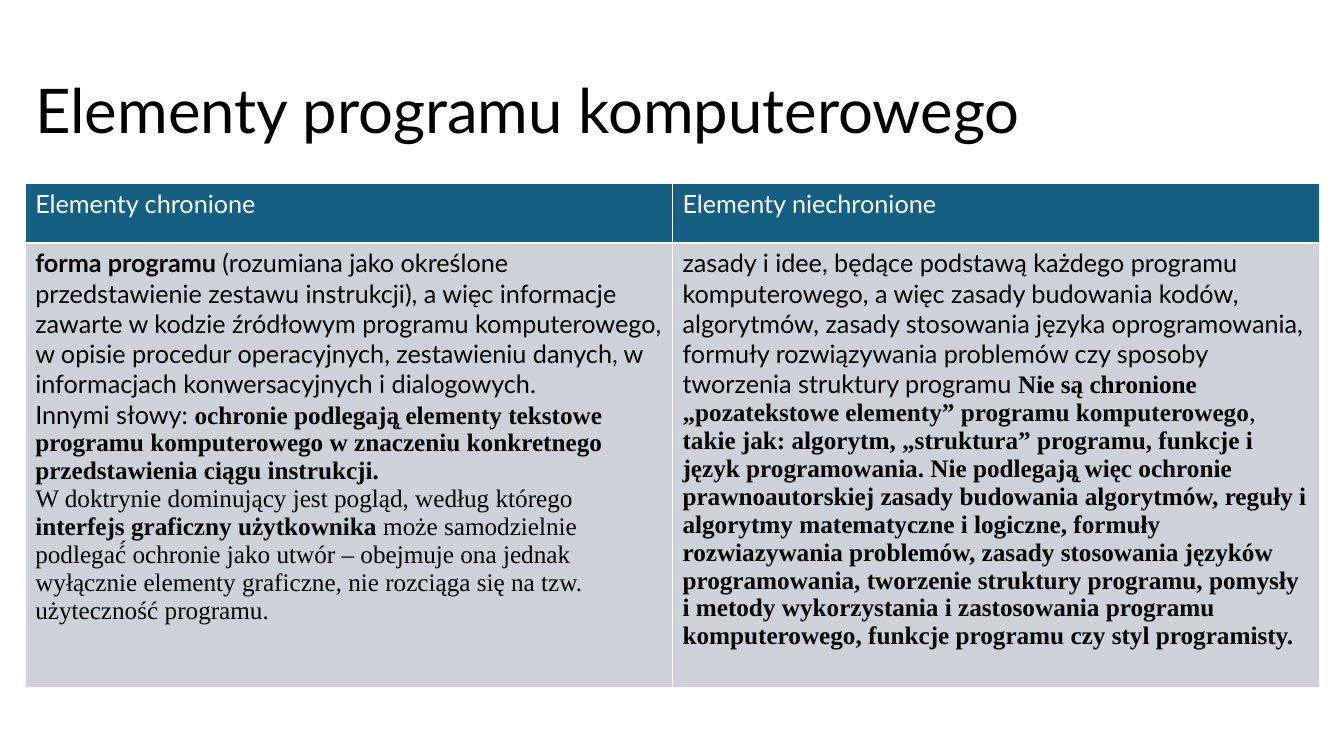
from lxml.etree import SubElement
from pptx import Presentation
from pptx.dml.color import RGBColor as Rgb
from pptx.enum.text import MSO_ANCHOR as Anchor
from pptx.oxml.ns import qn
from pptx.util import Inches, Pt

COLORS = {"black": "000000", "white": "FFFFFF", "header": "156082", "body": "CCD2D8"}
SANS, SERIF = "Lato", "Times New Roman"

# Each cell is a list of paragraphs; each paragraph a list of (text, font, bold).
PROTECTED = [
    [("forma programu ", SANS, True),
     ("(rozumiana jako określone przedstawienie zestawu instrukcji), a więc informacje "
      "zawarte w kodzie źródłowym programu komputerowego, w opisie procedur operacyjnych, "
      "zestawieniu danych, w informacjach konwersacyjnych i dialogowych.", SANS, False)],
    [("Innymi słowy: ", SANS, False),
     ("ochronie podlegają̨ elementy tekstowe programu komputerowego w znaczeniu "
      "konkretnego przedstawienia ciągu instrukcji.", SERIF, True)],
    [("W doktrynie dominujący jest pogląd, według którego ", SERIF, False),
     ("interfejs graficzny użytkownika", SERIF, True),
     (" może samodzielnie podlegać́ ochronie jako utwór – obejmuje ona jednak wyłącznie "
      "elementy graficzne, nie rozciąga się na tzw. użyteczność programu.", SERIF, False)],
]
UNPROTECTED = [
    [("zasady i idee, będące podstawą każdego programu komputerowego, a więc zasady "
      "budowania kodów, algorytmów, zasady stosowania języka oprogramowania, formuły "
      "rozwiązywania problemów czy sposoby tworzenia struktury programu ", SANS, False),
     ("Nie są chronione „pozatekstowe elementy” programu komputerowego", SERIF, True),
     (", ", SERIF, False),
     ("takie jak: algorytm, „struktura” programu, funkcje i język programowania. "
      "Nie podlegają̨ więc ochronie prawnoautorskiej zasady budowania algorytmów, reguły i "
      "algorytmy matematyczne i logiczne, formuły rozwiazywania problemów, zasady "
      "stosowania języków programowania, tworzenie struktury programu, pomysły i metody "
      "wykorzystania i zastosowania programu komputerowego, funkcje programu czy styl "
      "programisty.", SERIF, True)],
]
HEADERS = [[[(heading, SANS, False)]]
           for heading in ("Elementy chronione", "Elementy niechronione")]


class SlideBuilder:
    def __init__(self, slide):
        self.slide = slide

    def add_text(self, frame, paragraphs, size, color):
        for index, pieces in enumerate(paragraphs):
            paragraph = frame.add_paragraph() if index else frame.paragraphs[0]
            for words, font, bold in pieces:
                run = paragraph.add_run()
                run.text = words
                run.font.name, run.font.size, run.font.bold = font, Pt(size), bold
                run.font.color.rgb = Rgb.from_string(COLORS[color])

    def title(self, words, left, top, width, height):
        box = self.slide.shapes.add_textbox(
            Inches(left), Inches(top), Inches(width), Inches(height))
        frame = box.text_frame
        frame.word_wrap = True
        frame.vertical_anchor = Anchor.MIDDLE
        self.add_text(frame, [[(words, SANS, False)]], 44, "black")
        frame.paragraphs[0].line_spacing = 0.9

    def border(self, cell, color, points):
        properties = cell._tc.get_or_add_tcPr()
        for position, side in enumerate(("lnL", "lnR", "lnT", "lnB")):
            line = SubElement(properties, qn(f"a:{side}"), w=str(Pt(points)))
            fill = SubElement(line, qn("a:solidFill"))
            SubElement(fill, qn("a:srgbClr"), val=COLORS[color])
            properties.insert(position, line)

    def table(self, rows, styles, left, top, widths, heights):
        """Fill a table; styles gives (fill, text colour) for each row."""
        table = self.slide.shapes.add_table(
            len(rows), len(widths), Inches(left), Inches(top),
            Inches(sum(widths)), Inches(sum(heights))).table
        for column, width in zip(table.columns, widths):
            column.width = Inches(width)
        for row, height, contents, (fill, ink) in zip(table.rows, heights, rows, styles):
            row.height = Inches(height)
            for cell, paragraphs in zip(row.cells, contents):
                cell.fill.solid()
                cell.fill.fore_color.rgb = Rgb.from_string(COLORS[fill])
                self.border(cell, "white", 1)
                self.add_text(cell.text_frame, paragraphs, 18, ink)


def main():
    deck = Presentation()
    deck.slide_width, deck.slide_height = Inches(13.33), Inches(7.5)
    builder = SlideBuilder(deck.slides.add_slide(deck.slide_layouts[6]))
    builder.title("Elementy programu komputerowego", 0.25, 0.4, 12.17, 1.45)
    builder.table([HEADERS, [PROTECTED, UNPROTECTED]],
                  [("header", "white"), ("body", "black")],
                  0.25, 1.82, [6.42, 6.42], [0.59, 4.41])
    deck.save("out.pptx")


if __name__ == "__main__":
    main()
